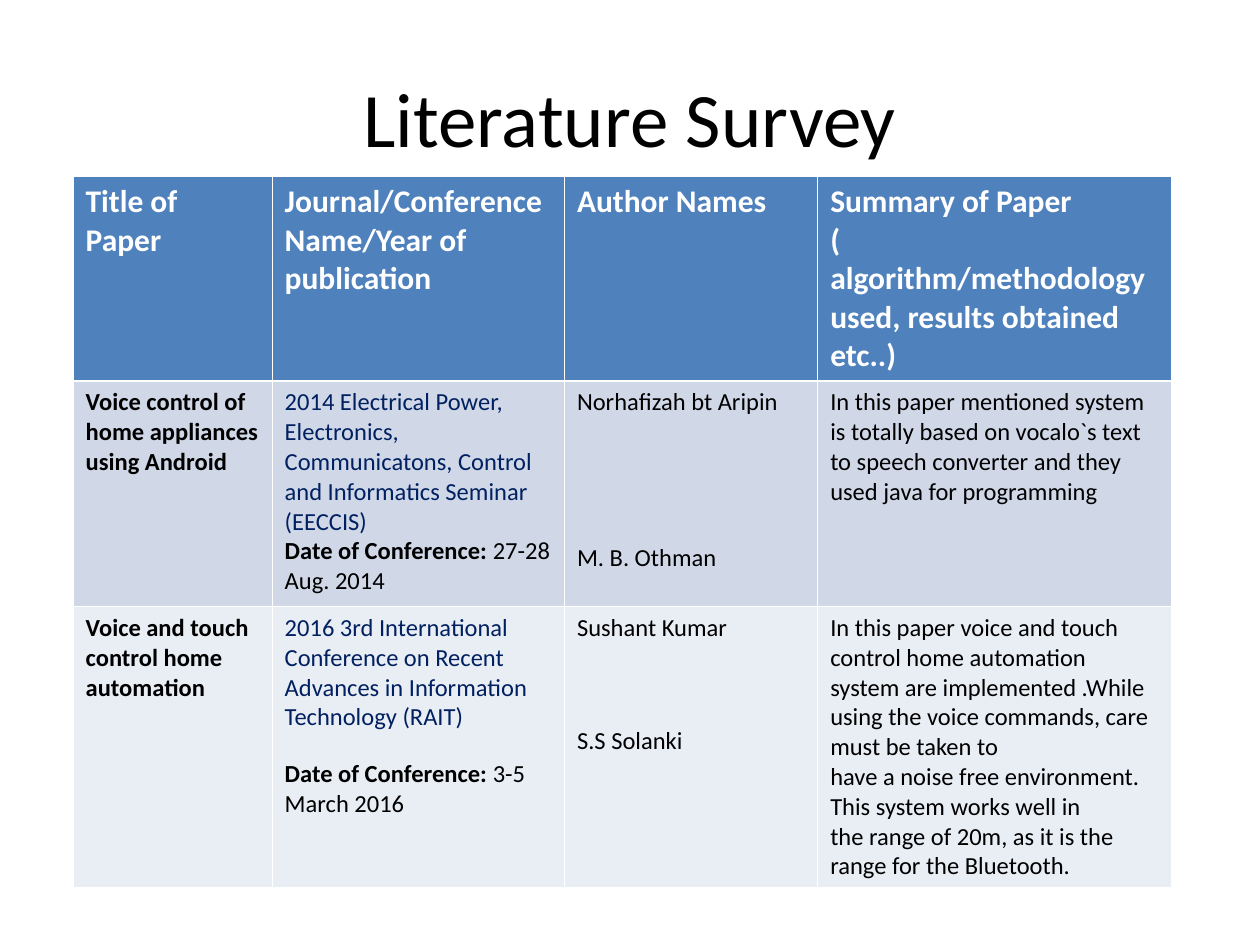
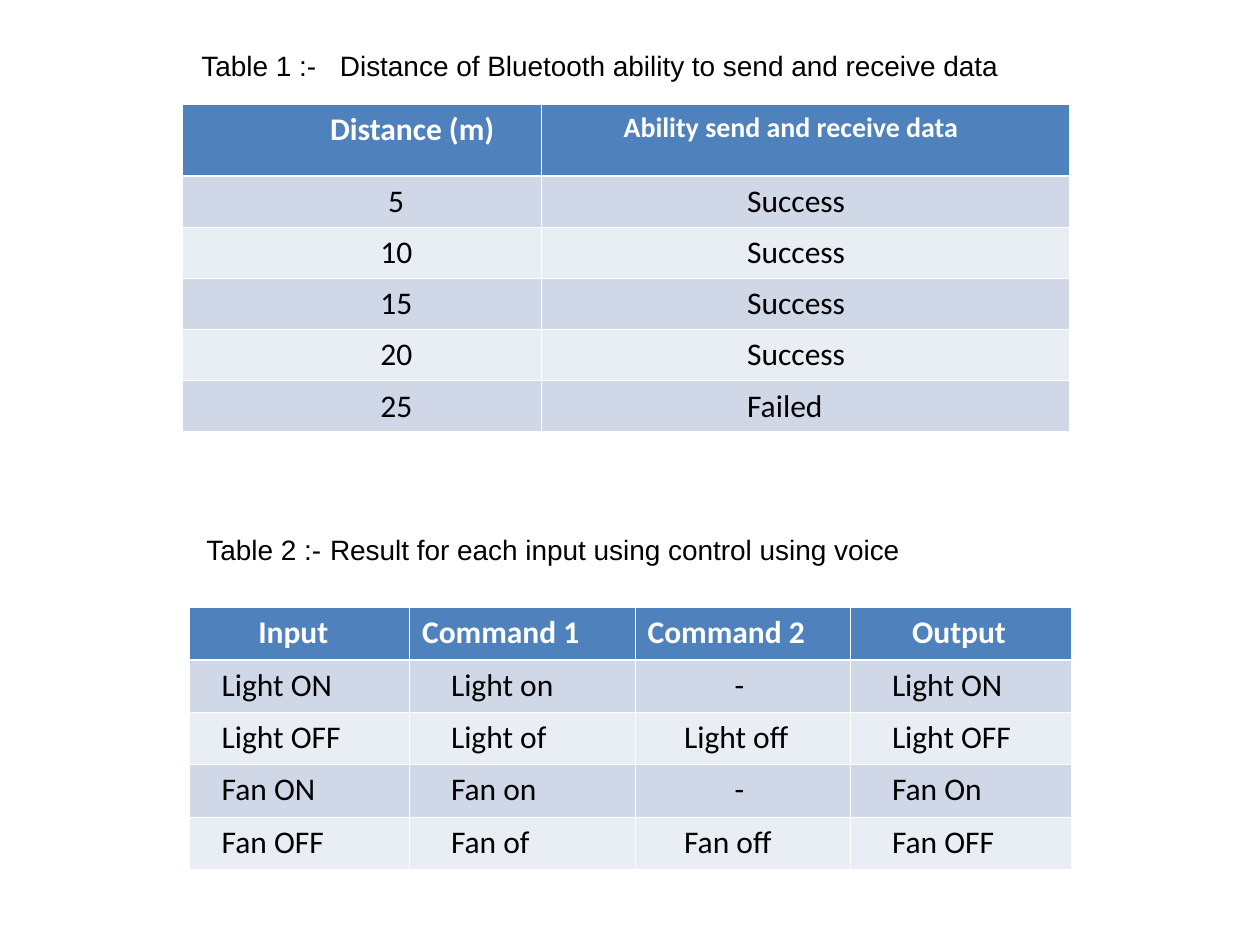
from lxml import etree
from pptx import Presentation, util as u
from pptx.dml.color import RGBColor
from pptx.enum import text as t
from pptx.oxml import ns

BLUE = RGBColor(0x4F, 0x81, 0xBD)
BANDS = [RGBColor(0xE9, 0xED, 0xF4), RGBColor(0xD0, 0xD8, 0xE8)]
NAVY = RGBColor(0x00, 0x20, 0x60)
BLACK = RGBColor(0, 0, 0)
WHITE = RGBColor(255, 255, 255)
THIN, THICK = u.Pt(0.45), u.Pt(1.47)

prs = Presentation()
prs.slide_width, prs.slide_height = u.Inches(10), u.Inches(7.5)
# Slide grid: 100 columns by 75 rows
COL, ROW = prs.slide_width / 100, prs.slide_height / 75


def style(run, size, color=BLACK, bold=False, face="Calibri"):
    font = run.font
    font.size, font.bold, font.name = u.Pt(size), bold, face
    font.color.rgb = color


def grid(slide, left, top, cols, rows):
    """Add a banded table with white rules; sizes in grid units."""
    table = slide.shapes.add_table(
        len(rows), len(cols), int(left * COL), int(top * ROW),
        int(sum(cols) * COL), int(sum(rows) * ROW)).table
    table.first_row = table.horz_banding = False
    for col, wide in zip(table.columns, cols):
        col.width = int(wide * COL)
    for r, (row, high) in enumerate(zip(table.rows, rows)):
        row.height = int(high * ROW)
        edges = {"lnL": THIN, "lnR": THIN,
                 "lnT": THICK if r == 1 else THIN,
                 "lnB": THICK if r == 0 else THIN}
        for cell in row.cells:
            cell.fill.solid()
            cell.fill.fore_color.rgb = BANDS[r % 2] if r else BLUE
            props = cell._tc.get_or_add_tcPr()
            for i, (tag, wide) in enumerate(edges.items()):
                line = etree.Element(ns.qn("a:" + tag), w=str(wide))
                fill = etree.SubElement(line, ns.qn("a:solidFill"))
                etree.SubElement(fill, ns.qn("a:srgbClr"), val=str(WHITE))
                props.insert(i, line)
    return table


# Slide 1: literature survey
slide = prs.slides.add_slide(prs.slide_layouts[5])
title = slide.shapes.title
title.left, title.top = int(5 * COL), int(3 * ROW)
title.width, title.height = int(90 * COL), int(12.5 * ROW)
title.text_frame.text = "Literature Survey"
title.text_frame.vertical_anchor = t.MSO_ANCHOR.MIDDLE
head = title.text_frame.paragraphs[0]
head.alignment = t.PP_ALIGN.CENTER
style(head.runs[0], 44)

# Each cell is a list of paragraphs
DATE = "Date of Conference: "
papers = [
    [["Title of Paper"],
     ["Journal/Conference Name/Year of publication"],
     ["Author Names"],
     ["Summary of Paper ( algorithm/methodology used, results obtained etc..)"]],
    [["Voice control of home appliances using Android"],
     ["2014 Electrical Power, Electronics, Communicatons, Control and "
      "Informatics Seminar (EECCIS)", DATE + "27-28 Aug. 2014"],
     ["Norhafizah bt Aripin", "M. B. Othman"],
     ["In this paper mentioned system is totally based on vocalo`s text to "
      "speech converter and they used java for programming"]],
    [["Voice and touch control home automation"],
     ["2016 3rd International Conference on Recent Advances in Information "
      "Technology (RAIT)", DATE + "3-5 March 2016"],
     ["Sushant Kumar", "S.S Solanki"],
     ["In this paper voice and touch control home automation",
      "system are implemented .While using the voice commands, care must be "
      "taken to",
      "have a noise free environment. This system works well in",
      "the range of 20m, as it is the range for the Bluetooth."]],
]
# Space before the second paragraph, by row and column
gaps = {(1, 2): 72, (2, 1): 15.5, (2, 2): 47.5}
table = grid(slide, 5.8, 14, [15.8, 23.2, 20.1, 28.1], [16, 17.9, 22])
for r, row in enumerate(papers):
    for c, paras in enumerate(row):
        frame = table.cell(r, c).text_frame
        for i, words in enumerate(paras):
            para = frame.add_paragraph() if i else frame.paragraphs[0]
            if i == 1 and (r, c) in gaps:
                para.space_before = u.Pt(gaps[r, c])
            if words.startswith(DATE):
                label = para.add_run()
                label.text = DATE
                style(label, 14, bold=True)
                words = words.removeprefix(DATE)
            run = para.add_run()
            run.text = words
            if r == 0:
                style(run, 18, WHITE, True)
            else:
                style(run, 14, NAVY if c == 1 and i == 0 else BLACK, c == 0)

# Slide 2: two result tables
slide = prs.slides.add_slide(prs.slide_layouts[6])
reach = [["Distance (m)", "Ability send and receive data"],
         ["5", "Success"], ["10", "Success"], ["15", "Success"],
         ["20", "Success"], ["25", "Failed"]]
voice = [["Input", "Command 1", "Command 2", "Output"],
         ["Light ON", "Light on", "-", "Light ON"],
         ["Light OFF", "Light of", "Light off", "Light OFF"],
         ["Fan ON", "Fan on", "-", "Fan On"],
         ["Fan OFF", "Fan of", "Fan off", "Fan OFF"]]
# Data, left, top, columns, rows, header insets, body insets
tables = [
    (reach, 14.5, 8.3, [28.5, 41.9], [5.7] + [4.05] * 5,
     [11.7, 6.5], [15.7, 16.3]),
    (voice, 15, 48.2, [17.5, 17.9, 17.1, 17.5], [4.16] * 5,
     [5.5, 1, 1, 4.9], [2.6, 3.3, 3.9, 3.3]),
]
for data, left, top, cols, rows, first, rest in tables:
    table = grid(slide, left, top, cols, rows)
    for r, row in enumerate(data):
        for c, words in enumerate(row):
            cell = table.cell(r, c)
            inset = (rest if r else first)[c]
            if words == "-":
                inset = 7.9
            elif words == "5":
                inset = 16.3
            cell.margin_left = int(inset * COL)
            cell.text_frame.text = words
            size = 16 if words.startswith("Ability") else 18
            style(cell.text_frame.paragraphs[0].runs[0], size,
                  BLACK if r else WHITE, r == 0)

# Captions: left, top, width, height, runs with sizes
captions = [
    (15, 3.4, 66.7, 3.7,
     [("Table 1 :-\tDistance of Bluetooth ability to send and receive data", 16)]),
    (15.4, 41.5, 69.6, 4,
     [("Table 2 :-", 16), (" ", 18),
      ("Result for each input using control using voice", 16)]),
]
for left, top, wide, high, parts in captions:
    box = slide.shapes.add_textbox(int(left * COL), int(top * ROW),
                                   int(wide * COL), int(high * ROW))
    box.text_frame.word_wrap = True
    para = box.text_frame.paragraphs[0]
    stops = etree.SubElement(para._p.get_or_add_pPr(), ns.qn("a:tabLst"))
    etree.SubElement(stops, ns.qn("a:tab"), pos=str(int(11 * COL)), algn="l")
    for words, size in parts:
        run = para.add_run()
        run.text = words
        style(run, size, face="Arial")

prs.save("out.pptx")
